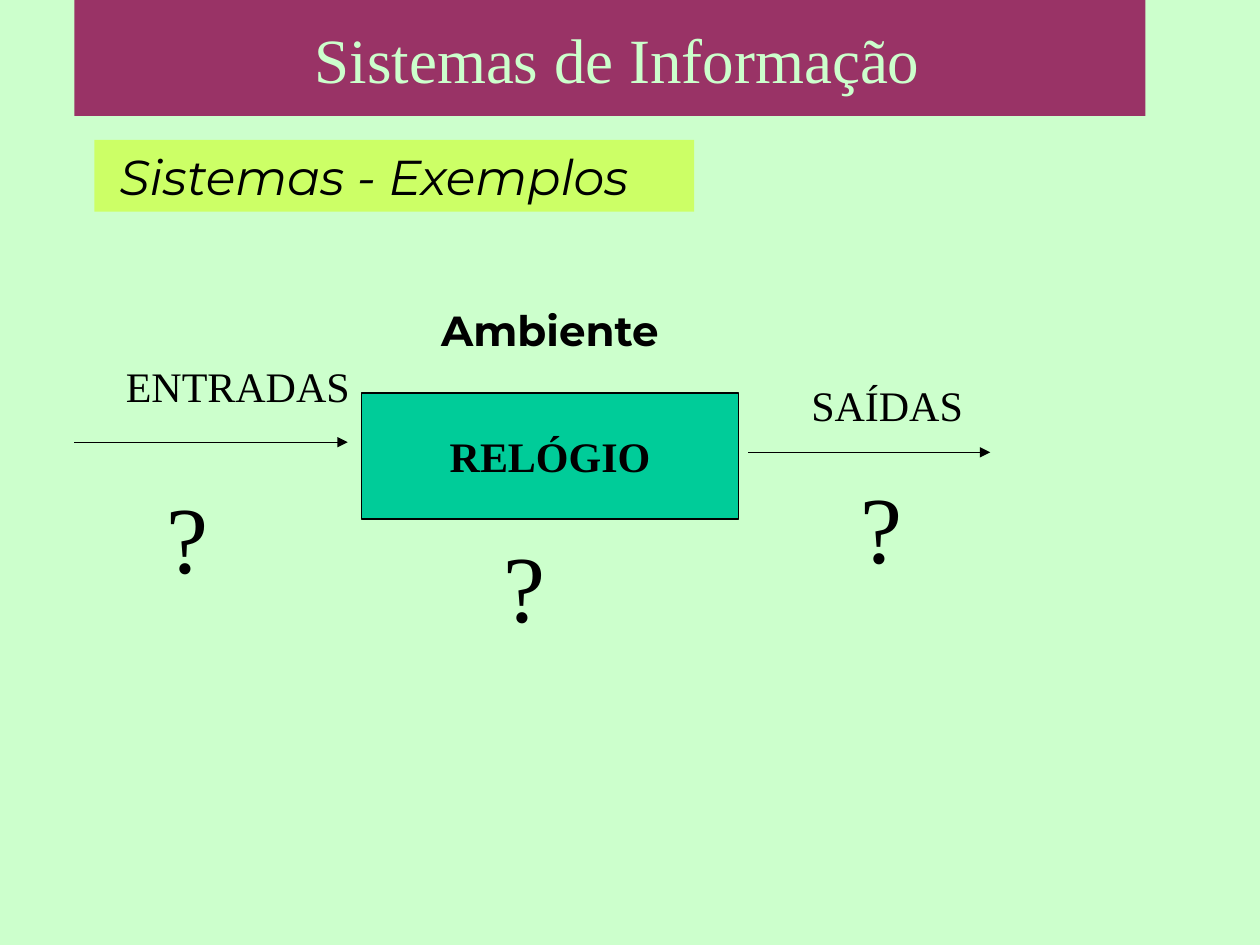
"""Build the slide showing a clock as a system with inputs and outputs."""
from dataclasses import dataclass

import lxml.etree
import pptx
import pptx.dml.color
import pptx.enum.shapes
import pptx.enum.text
import pptx.oxml.ns
import pptx.util

Align = pptx.enum.text.PP_ALIGN
Anchor = pptx.enum.text.MSO_ANCHOR
AutoSize = pptx.enum.text.MSO_AUTO_SIZE
COLUMNS, ROWS = 100, 75
CELL = pptx.util.Inches(0.1)


@dataclass(frozen=True)
class Theme:
    background: str = "CCFFCC"
    banner: str = "993366"
    subtitle: str = "CCFF66"
    system: str = "00CC99"
    ink: str = "000000"
    serif: str = "Times New Roman"
    sans: str = "Montserrat"
    title_size: int = 36
    subtitle_size: int = 28
    label_size: int = 24
    question_size: int = 54
    line_width: float = 0.75


THEME = Theme()


@dataclass(frozen=True)
class Area:
    column: float
    row: float
    columns: float
    rows: float


@dataclass(frozen=True)
class Label:
    text: str
    area: Area
    size: int = THEME.label_size
    font: str = THEME.serif
    color: str = THEME.ink
    bold: bool = False
    italic: bool = False
    align: Align = Align.LEFT
    anchor: Anchor = Anchor.TOP
    wrap: bool = False
    auto_size: AutoSize = AutoSize.NONE
    left_inset: float = 1


@dataclass(frozen=True)
class Arrow:
    column: float
    row: float
    columns: float


def cells(count: float) -> int:
    return round(count * CELL)


def rgb(color: str) -> pptx.dml.color.RGBColor:
    return pptx.dml.color.RGBColor.from_string(color)


def paint(shape, color: str) -> None:
    shape.fill.solid()
    shape.fill.fore_color.rgb = rgb(color)


def place(area: Area) -> tuple[int, int, int, int]:
    return cells(area.column), cells(area.row), cells(area.columns), cells(area.rows)


def write(shape, label: Label) -> None:
    frame = shape.text_frame
    frame.word_wrap = label.wrap
    frame.auto_size = label.auto_size
    frame.vertical_anchor = label.anchor
    frame.margin_left = cells(label.left_inset)
    paragraph = frame.paragraphs[0]
    paragraph.alignment = label.align
    run = paragraph.add_run()
    run.text = label.text
    run.font.name = label.font
    run.font.size = pptx.util.Pt(label.size)
    run.font.bold = label.bold
    run.font.italic = label.italic
    run.font.color.rgb = rgb(label.color)


def add_title(slide, label: Label) -> None:
    title = slide.shapes.title
    title.left, title.top, title.width, title.height = place(label.area)
    paint(title, THEME.banner)
    write(title, label)


def add_box(slide, label: Label, fill: str, outlined: bool = False) -> None:
    shape = slide.shapes.add_shape(
        pptx.enum.shapes.MSO_SHAPE.RECTANGLE, *place(label.area))
    shape.shadow.inherit = False
    paint(shape, fill)
    if outlined:
        shape.line.color.rgb = rgb(THEME.ink)
        shape.line.width = pptx.util.Pt(THEME.line_width)
    else:
        shape.line.fill.background()
    write(shape, label)


def add_label(slide, label: Label) -> None:
    write(slide.shapes.add_textbox(*place(label.area)), label)


def add_arrow(slide, arrow: Arrow) -> None:
    connector = slide.shapes.add_connector(
        pptx.enum.shapes.MSO_CONNECTOR.STRAIGHT,
        cells(arrow.column), cells(arrow.row),
        cells(arrow.column + arrow.columns), cells(arrow.row))
    connector.line.color.rgb = rgb(THEME.ink)
    connector.line.width = pptx.util.Pt(THEME.line_width)
    line = connector.line._get_or_add_ln()
    lxml.etree.SubElement(line, pptx.oxml.ns.qn("a:tailEnd"), type="triangle")
    properties = connector._element.spPr
    lxml.etree.SubElement(properties, pptx.oxml.ns.qn("a:effectLst"))


TITLE = Label("Sistemas de Informação", Area(5.9, 0, 85, 9.2), THEME.title_size,
              color=THEME.background, align=Align.CENTER, anchor=Anchor.MIDDLE,
              wrap=True, left_inset=2.2)
SUBTITLE = Label("Sistemas - Exemplos", Area(7.5, 11.1, 47.6, 5.7),
                 THEME.subtitle_size, THEME.sans, italic=True, left_inset=2)
SYSTEM = Label("RELÓGIO", Area(28.7, 31.2, 29.9, 10), bold=True,
               align=Align.CENTER, anchor=Anchor.MIDDLE)
ENVIRONMENT = Label("Ambiente", Area(35, 23.7, 17.3, 3.2), font=THEME.sans,
                    bold=True, align=Align.CENTER)
FLOWS = (
    Label("ENTRADAS", Area(9, 28.1, 19.8, 5), auto_size=AutoSize.SHAPE_TO_FIT_TEXT),
    Label("SAÍDAS", Area(63.4, 29.6, 14.1, 5), auto_size=AutoSize.SHAPE_TO_FIT_TEXT),
)
ARROWS = (Arrow(5.9, 35.1, 21.7), Arrow(59.4, 35.9, 19.2))
QUESTIONS = tuple(
    Label("?", Area(column, row, 5.3, 10), THEME.question_size,
          auto_size=AutoSize.SHAPE_TO_FIT_TEXT)
    for column, row in ((12.2, 37.5), (39, 41.4), (67.3, 36.7)))


def main() -> None:
    presentation = pptx.Presentation()
    presentation.slide_width = cells(COLUMNS)
    presentation.slide_height = cells(ROWS)
    slide = presentation.slides.add_slide(presentation.slide_layouts[5])
    paint(slide.background, THEME.background)
    add_title(slide, TITLE)
    add_box(slide, SUBTITLE, THEME.subtitle)
    add_box(slide, SYSTEM, THEME.system, outlined=True)
    for arrow in ARROWS:
        add_arrow(slide, arrow)
    for label in (ENVIRONMENT, *FLOWS, *QUESTIONS):
        add_label(slide, label)
    presentation.save("out.pptx")


if __name__ == "__main__":
    main()
